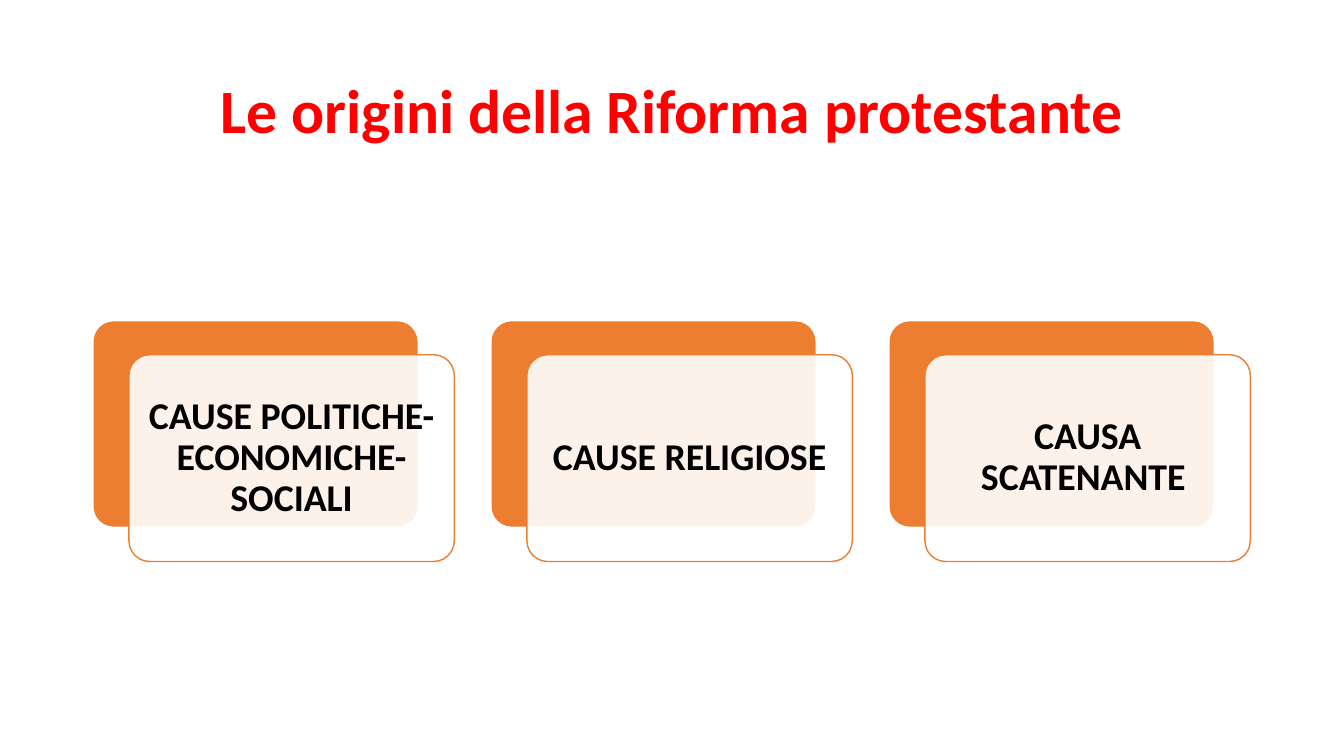
"""Build a slide on the origins of the Protestant Reformation with three cause cards."""
from dataclasses import dataclass

import lxml.etree
import pptx
import pptx.dml.color
import pptx.enum.shapes
import pptx.enum.text
import pptx.oxml.ns
import pptx.shapes.autoshape
import pptx.slide
import pptx.text.text
import pptx.util

Cm = pptx.util.Cm

COLORS = {"title": "FF0000", "accent": "ED7D31", "paper": "FFFFFF", "ink": "000000"}
FONT = "Calibri"
CARD_LEFT, CARD_TOP, CARD_STEP = 2.34, 8.08, 10.03
CARD_WIDTH, CARD_HEIGHT = 8.2, 5.21
FRONT_SHIFT_X, FRONT_SHIFT_Y = 0.91, 0.86
FRONT_INSET = 0.28
FRONT_OPACITY = 90


@dataclass(frozen=True)
class Panel:
    left: float
    top: float
    fill: str
    line: str


def rgb(name: str) -> pptx.dml.color.RGBColor:
    return pptx.dml.color.RGBColor.from_string(COLORS[name])


def write(frame: pptx.text.text.TextFrame, text: str, size: float, color: str) -> None:
    frame.word_wrap = True
    frame.vertical_anchor = pptx.enum.text.MSO_ANCHOR.MIDDLE
    paragraph = frame.paragraphs[0]
    paragraph.text = text
    paragraph.alignment = pptx.enum.text.PP_ALIGN.CENTER
    paragraph.line_spacing = 0.9
    font = paragraph.runs[0].font
    font.name = FONT
    font.size = pptx.util.Pt(size)
    font.bold = True
    font.color.rgb = rgb(color)


def draw_panel(slide: pptx.slide.Slide, panel: Panel) -> pptx.shapes.autoshape.Shape:
    shape = slide.shapes.add_shape(
        pptx.enum.shapes.MSO_SHAPE.ROUNDED_RECTANGLE,
        Cm(panel.left), Cm(panel.top), Cm(CARD_WIDTH), Cm(CARD_HEIGHT),
    )
    shape.adjustments[0] = 0.1
    shape.shadow.inherit = False
    shape.fill.solid()
    shape.fill.fore_color.rgb = rgb(panel.fill)
    shape.line.color.rgb = rgb(panel.line)
    shape.line.width = pptx.util.Pt(1)
    return shape


def set_opacity(shape: pptx.shapes.autoshape.Shape, percent: int) -> None:
    qn = pptx.oxml.ns.qn
    fill_color = shape.element.spPr.find(qn("a:solidFill")).find(qn("a:srgbClr"))
    lxml.etree.SubElement(fill_color, qn("a:alpha"), val=str(percent * 1000))


def draw_card(slide: pptx.slide.Slide, left: float, cause: str) -> None:
    draw_panel(slide, Panel(left, CARD_TOP, "accent", "paper"))
    front = draw_panel(
        slide, Panel(left + FRONT_SHIFT_X, CARD_TOP + FRONT_SHIFT_Y, "paper", "accent")
    )
    set_opacity(front, FRONT_OPACITY)
    frame = front.text_frame
    frame.margin_left = frame.margin_right = Cm(FRONT_INSET)
    frame.margin_top = frame.margin_bottom = Cm(FRONT_INSET)
    write(frame, cause, 27, "ink")


def main() -> None:
    presentation = pptx.Presentation()
    presentation.slide_width = Cm(33.87)
    presentation.slide_height = Cm(19.05)
    slide = presentation.slides.add_slide(presentation.slide_layouts[6])

    title = slide.shapes.add_textbox(Cm(2.34), Cm(1.02), Cm(29.21), Cm(3.68))
    write(title.text_frame, "Le origini della Riforma protestante", 44, "title")

    causes = (
        "CAUSE POLITICHE-ECONOMICHE-SOCIALI",
        "CAUSE RELIGIOSE",
        "CAUSA SCATENANTE ",
    )
    for index, cause in enumerate(causes):
        draw_card(slide, CARD_LEFT + index * CARD_STEP, cause)

    presentation.save("out.pptx")


if __name__ == "__main__":
    main()
